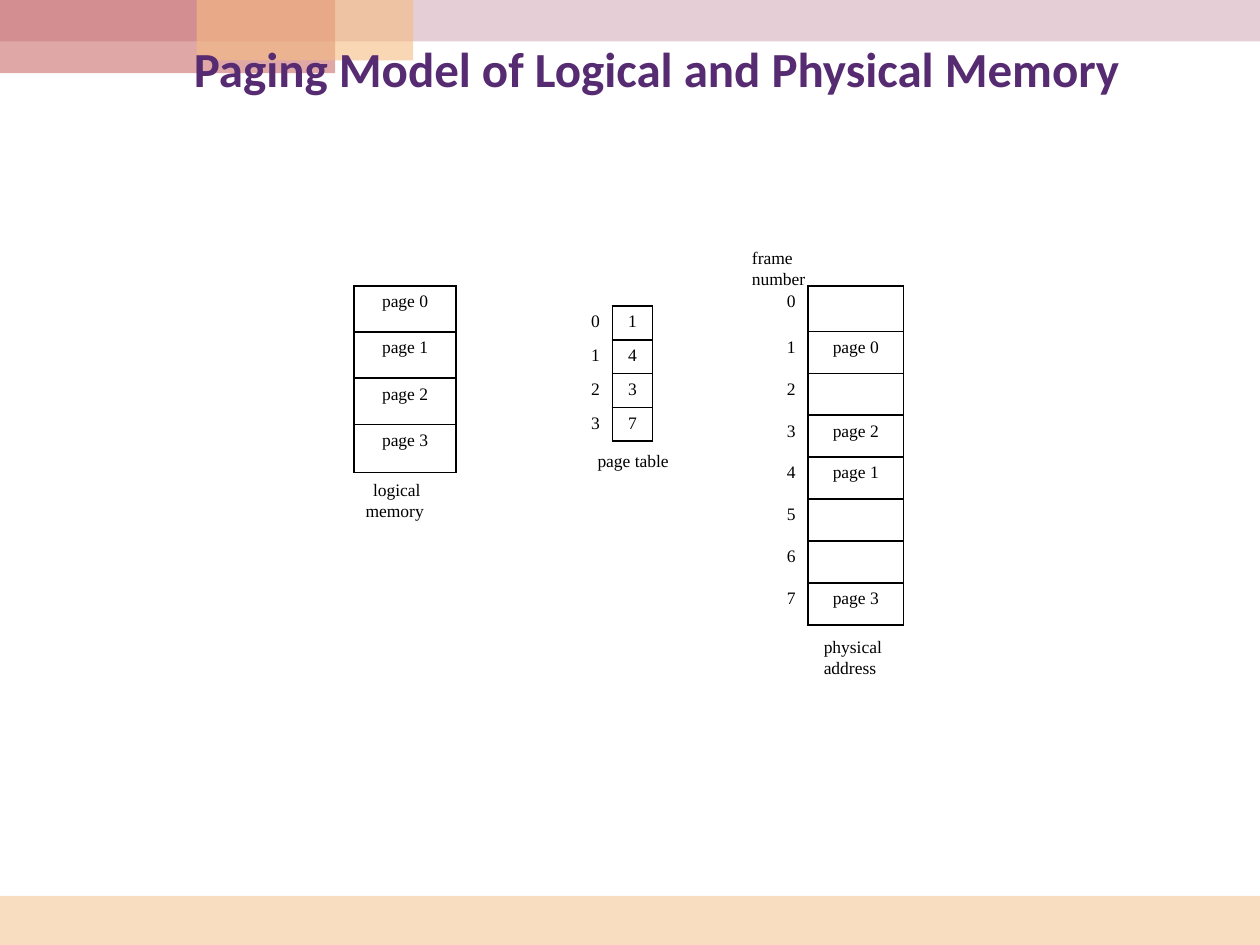
from lxml.etree import SubElement
from pptx import Presentation
from pptx.dml.color import RGBColor
from pptx.enum.shapes import MSO_SHAPE
from pptx.enum.text import MSO_ANCHOR, PP_ALIGN
from pptx.oxml.ns import qn
from pptx.util import Inches, Pt

THEME = {
    "peach": "F5BC83", "mauve": "CC9EAC", "red": "C0504D", "ink": "000000",
    "title": {"name": "Calibri", "size": Pt(28), "bold": True, "color": "562B71"},
    "body": {"name": "Times New Roman", "size": Pt(10), "bold": False, "color": "000000"},
    "rule": Pt(1),
}
WIDTH, HEIGHT = Inches(10), Inches(7.5)
COLUMNS, ROWS = 100, 75
ALIGN = {"l": PP_ALIGN.LEFT, "c": PP_ALIGN.CENTER, "r": PP_ALIGN.RIGHT}

BANDS = [
    ((0, 71.1, 100, 3.9), "peach", 50),
    ((0, 0, 100, 3.3), "mauve", 50),
    ((0, 0, 26.6, 5.8), "red", 50),
    ((15.6, 0, 17.2, 4.8), "peach", 60),
]
TITLE = "Paging Model of Logical and Physical Memory"
CAPTIONS = [
    ((58.7, 19.1, 7.4, 4.4), "l", ["frame", "number"]),
    ((27.8, 37.5, 7.4, 4.4), "c", ["logical", "memory "]),
    ((44.6, 35.2, 11.3, 2.7), "c", ["page table"]),
    ((64.4, 50, 7.4, 4.4), "l", ["physical", "address"]),
]
LOGICAL_PAGES = [f"page {page}" for page in range(4)]
PAGE_FRAMES = [1, 4, 3, 7]
FRAME_COUNT = 8
frames = [""] * FRAME_COUNT
for page_name, frame in zip(LOGICAL_PAGES, PAGE_FRAMES):
    frames[frame] = page_name

MEMORIES = [
    ((28.1, 22.7), [8.1], [3.66] * 3 + [3.84], [[name] for name in LOGICAL_PAGES]),
    ((45.5, 24.3), [3.1, 3.2], [2.68] * 4,
     [[str(page), str(frame)] for page, frame in enumerate(PAGE_FRAMES)]),
    ((60.8, 22.7), [3.35, 7.55], [3.6] + [3.33] * 7,
     [[str(frame), name] for frame, name in enumerate(frames)]),
]


def across(columns):
    return round(WIDTH * columns / COLUMNS)


def down(rows):
    return round(HEIGHT * rows / ROWS)


def place(left, top, width, height):
    return across(left), down(top), across(width), down(height)


def write(frame, lines, style, align):
    for number, line in enumerate(lines):
        paragraph = frame.add_paragraph() if number else frame.paragraphs[0]
        paragraph.alignment = ALIGN[align]
        if not line:
            SubElement(paragraph._p, qn("a:endParaRPr"), sz=str(round(style["size"].pt * 100)))
            continue
        run = paragraph.add_run()
        run.text = line
        for key in ("name", "size", "bold"):
            setattr(run.font, key, style[key])
        run.font.color.rgb = RGBColor.from_string(style["color"])


def add_band(slide, area, color, opacity):
    band = slide.shapes.add_shape(MSO_SHAPE.RECTANGLE, *place(*area))
    band.shadow.inherit = False
    band.line.fill.background()
    band.fill.solid()
    band.fill.fore_color.rgb = RGBColor.from_string(THEME[color])
    tint = band.fill._xPr.find(qn("a:solidFill"))[0]
    SubElement(tint, qn("a:alpha"), val=str(opacity * 1000))


def add_text(slide, area, lines, style, align, anchor=MSO_ANCHOR.TOP):
    frame = slide.shapes.add_textbox(*place(*area)).text_frame
    frame.word_wrap = True
    frame.vertical_anchor = anchor
    write(frame, lines, style, align)


def rule_cell(cell, ruled_sides):
    properties = cell._tc.get_or_add_tcPr()
    for side in "LRTB":
        border = SubElement(properties, qn(f"a:ln{side}"), w=str(THEME["rule"]))
        if side in ruled_sides:
            fill = SubElement(border, qn("a:solidFill"))
            SubElement(fill, qn("a:srgbClr"), val=THEME["ink"])
        else:
            SubElement(border, qn("a:noFill"))
    cell.fill.background()


def add_memory(slide, corner, widths, heights, entries):
    area = place(*corner, sum(widths), sum(heights))
    table = slide.shapes.add_table(len(heights), len(widths), *area).table
    table.first_row = table.horz_banding = False
    for column, width in zip(table.columns, widths):
        column.width = across(width)
    for row, height, texts in zip(table.rows, heights, entries):
        row.height = down(height)
        for position, (cell, text) in enumerate(zip(row.cells, texts)):
            is_index = position < len(widths) - 1
            write(cell.text_frame, [text], THEME["body"], "r" if is_index else "c")
            rule_cell(cell, "R" if is_index else "LRTB")


def main():
    deck = Presentation()
    deck.slide_width, deck.slide_height = WIDTH, HEIGHT
    slide = deck.slides.add_slide(deck.slide_layouts[6])
    for band in BANDS:
        add_band(slide, *band)
    add_text(slide, (10.8, 2.3, 82.6, 6.2), [TITLE], THEME["title"], "c", MSO_ANCHOR.MIDDLE)
    for memory in MEMORIES:
        add_memory(slide, *memory)
    for area, align, lines in CAPTIONS:
        add_text(slide, area, lines, THEME["body"], align)
    deck.save("out.pptx")


if __name__ == "__main__":
    main()
